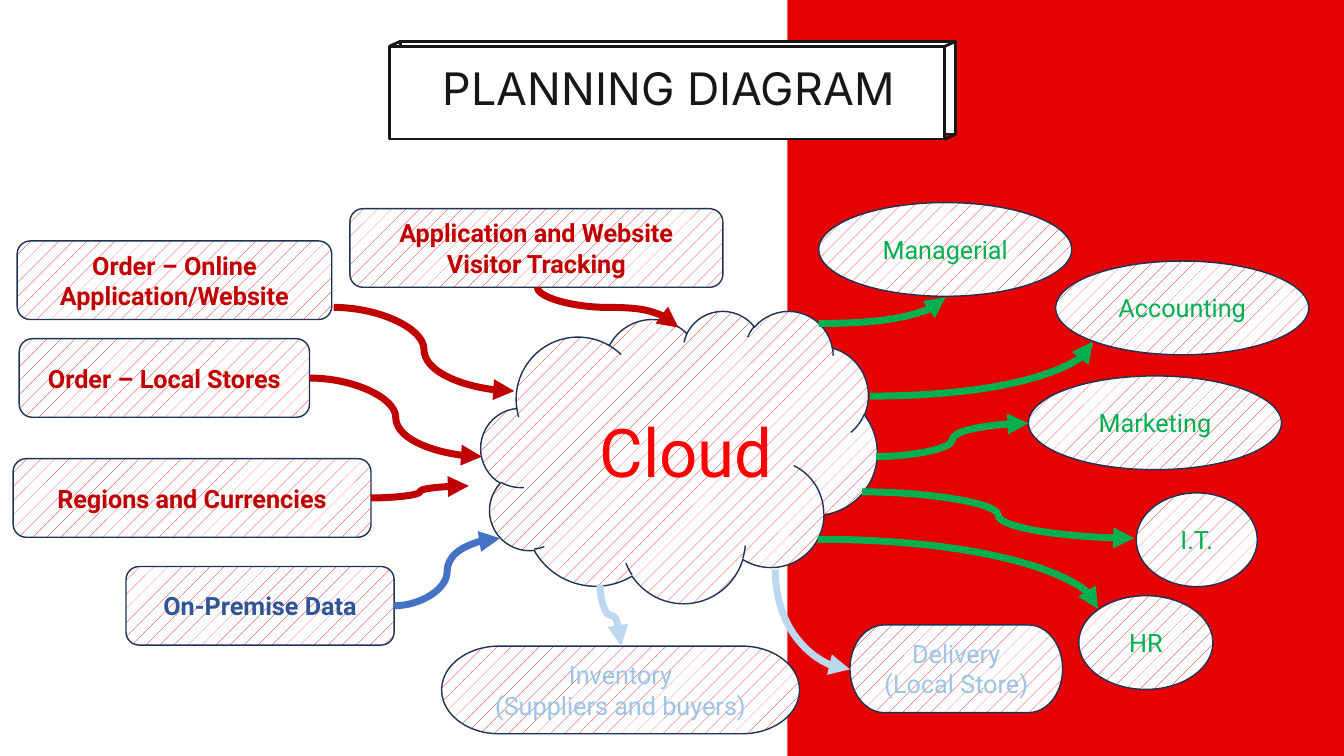
"""Builds the planning diagram slide: data sources flowing through a cloud to departments."""
from dataclasses import dataclass

from lxml import etree
from pptx import Presentation
from pptx.dml.color import RGBColor
from pptx.enum.dml import MSO_PATTERN
from pptx.enum.shapes import MSO_CONNECTOR, MSO_SHAPE
from pptx.enum.text import MSO_ANCHOR, MSO_AUTO_SIZE, PP_ALIGN
from pptx.oxml.ns import qn
from pptx.util import Inches, Pt

RECTANGLE = MSO_SHAPE.RECTANGLE
TRIANGLE = MSO_SHAPE.ISOSCELES_TRIANGLE
CLOUD = MSO_SHAPE.CLOUD
SOURCE = MSO_SHAPE.FLOWCHART_ALTERNATE_PROCESS
DEPARTMENT = MSO_SHAPE.OVAL
PARTNER = MSO_SHAPE.FLOWCHART_TERMINATOR
STRAIGHT = MSO_CONNECTOR.STRAIGHT
CURVE = MSO_CONNECTOR.CURVE
DOTS = MSO_PATTERN.PERCENT_5
CENTER = PP_ALIGN.CENTER
TOP, MIDDLE = MSO_ANCHOR.TOP, MSO_ANCHOR.MIDDLE
FIXED = MSO_AUTO_SIZE.NONE

COLUMNS, ROWS = 13.33, 7.5
CELL = Inches(1)
HEIGHTS = {SOURCE: 0.78, DEPARTMENT: 0.93, PARTNER: 0.87, CLOUD: 2.9}
COLORS = {
    "white": "FFFFFF", "panel": "E50102", "ink": "181717", "outline": "1E3256",
    "cloud": "FF0000", "source": "C00000", "premise": "2F5597", "premise flow": "4472C4",
    "department": "00B050", "partner": "9DC3E6", "partner flow": "BDD7EE",
}


@dataclass(frozen=True)
class Node:
    kind: MSO_SHAPE
    column: float
    row: float
    columns: float
    label: str = ""
    color: str = "source"


@dataclass(frozen=True)
class Flow:
    start: tuple[float, float]
    end: tuple[float, float]
    color: str
    bend: bool = False
    downward: bool = False


NODES = [
    Node(CLOUD, 4.77, 3.08, 3.93),
    Node(SOURCE, 3.47, 2.07, 3.7, "Application and Website\nVisitor Tracking"),
    Node(SOURCE, 0.17, 2.39, 3.12, "Order – Online\nApplication/Website"),
    Node(SOURCE, 0.19, 3.36, 2.88, "Order – Local Stores"),
    Node(SOURCE, 0.13, 4.55, 3.55, "Regions and Currencies"),
    Node(SOURCE, 1.25, 5.62, 2.66, "On-Premise Data", "premise"),
    Node(DEPARTMENT, 10.2, 3.73, 2.51, "Marketing", "department"),
    Node(DEPARTMENT, 10.47, 2.59, 2.51, "Accounting", "department"),
    Node(DEPARTMENT, 10.7, 5.91, 1.33, "HR", "department"),
    Node(DEPARTMENT, 11.27, 4.89, 1.2, "I.T.", "department"),
    Node(DEPARTMENT, 8.12, 2.01, 2.51, "Managerial", "department"),
    Node(PARTNER, 8.43, 6.2, 2.11, "Delivery\n(Local Store)", "partner"),
    Node(PARTNER, 4.38, 6.41, 3.55, "Inventory\n(Suppliers and buyers)", "partner"),
]
FLOWS = [
    Flow((3.31, 3.05), (5.1, 3.88), "source"),
    Flow((3.07, 3.75), (4.78, 4.53), "source"),
    Flow((5.33, 2.85), (6.73, 3.25), "source", downward=True),
    Flow((3.68, 4.94), (4.65, 4.82), "source"),
    Flow((3.91, 6.01), (4.96, 5.34), "premise flow"),
    Flow((8.12, 3.21), (9.38, 2.95), "department", bend=True),
    Flow((8.63, 3.93), (10.84, 3.39), "department", bend=True),
    Flow((8.69, 4.53), (10.2, 4.2), "department"),
    Flow((8.55, 4.88), (11.25, 5.34), "department"),
    Flow((8.11, 5.35), (10.89, 6.04), "department", bend=True),
    Flow((7.69, 5.65), (8.43, 6.64), "partner flow", bend=True, downward=True),
    Flow((5.95, 5.8), (6.16, 6.41), "partner flow", downward=True),
]


def grid(*cells: float) -> list[int]:
    return [round(cell * CELL) for cell in cells]


def rgb(name: str) -> RGBColor:
    return RGBColor.from_string(COLORS[name])


def write(holder, text: str, font: str, size: int, color: str, bold: bool = False, anchor=TOP) -> None:
    frame = holder.text_frame
    frame.text = text
    frame.word_wrap = True
    frame.auto_size = FIXED
    frame.vertical_anchor = anchor
    for paragraph in frame.paragraphs:
        paragraph.alignment = CENTER
        for run in paragraph.runs:
            run.font.name = font
            run.font.size = Pt(size)
            run.font.bold = bold
            run.font.color.rgb = rgb(color)


def add_block(shapes, kind: MSO_SHAPE, cells: tuple, fill: str, line: str = ""):
    block = shapes.add_shape(kind, *grid(*cells))
    block.shadow.inherit = False
    block.fill.solid()
    block.fill.fore_color.rgb = rgb(fill)
    if line:
        block.line.color.rgb = rgb(line)
        block.line.width = Pt(2)
    else:
        block.line.fill.background()
    return block


def add_line(shapes, kind: MSO_CONNECTOR, start: tuple, end: tuple, color: str, width: float):
    line = shapes.add_connector(kind, *grid(*start, *end))
    line.line.color.rgb = rgb(color)
    line.line.width = Pt(width)
    etree.SubElement(line.element.spPr, qn("a:effectLst"))
    return line


def add_banner(shapes) -> None:
    banner = shapes.add_group_shape().shapes
    left, top, width, height, dx, dy = 3.86, 0.46, 5.51, 0.92, 0.11, -0.05
    corner = add_block(banner, TRIANGLE, (left, top + dy, dx, -dy), "white")
    corner.adjustments[0] = 1
    for x, y in ((left + dx, top + dy), (left, top)):
        add_block(banner, RECTANGLE, (x, y, width, height), "white", "ink")
    for x, y in ((left, top), (left + width, top), (left + width, top + height)):
        add_line(banner, STRAIGHT, (x + dx, y + dy), (x, y), "ink", 2)


def add_node(shapes, node: Node) -> None:
    cells = (node.column, node.row, node.columns, HEIGHTS[node.kind])
    block = add_block(shapes, node.kind, cells, "white")
    block.fill.patterned()
    block.fill.pattern = DOTS
    block.fill.fore_color.rgb = rgb("panel")
    block.fill.back_color.rgb = rgb("white")
    block.line.color.rgb = rgb("outline")
    block.line.width = Pt(1)
    if node.label:
        write(block, node.label, "Roboto", 18, node.color, node.kind == SOURCE, MIDDLE)


def add_flow(shapes, flow: Flow) -> None:
    start, end = flow.start, flow.end
    if flow.downward:
        x, y = (start[0] + end[0]) / 2, (start[1] + end[1]) / 2
        half_x, half_y = (end[0] - start[0]) / 2, (end[1] - start[1]) / 2
        start, end = (x + half_y, y - half_x), (x - half_y, y + half_x)
    arrow = add_line(shapes, CURVE, start, end, flow.color, 5)
    properties = arrow.element.spPr
    if flow.downward:
        properties.find(qn("a:xfrm")).set("rot", str(270 * 60000))
    if flow.bend:
        properties.find(qn("a:prstGeom")).set("prst", "curvedConnector2")
    etree.SubElement(properties.find(qn("a:ln")), qn("a:tailEnd"), type="triangle")


def main() -> None:
    deck = Presentation()
    deck.slide_width, deck.slide_height = grid(COLUMNS, ROWS)
    slide = deck.slides.add_slide(deck.slide_layouts[5])
    shapes = slide.shapes
    add_block(shapes, RECTANGLE, (7.81, 0, COLUMNS - 7.81, ROWS), "panel")
    add_banner(shapes)

    heading = shapes.title
    heading.left, heading.top, heading.width, heading.height = grid(2.49, 0.55, 8.29, 0.64)
    write(heading, "PLANNING DIAGRAM", "Inter", 32, "ink")
    shapes.element.append(heading.element)

    for node in NODES:
        add_node(shapes, node)
    for flow in FLOWS:
        add_flow(shapes, flow)
    cloud_name = shapes.add_textbox(*grid(5.06, 4.02, 3.49, 0.91))
    write(cloud_name, "Cloud", "Roboto", 48, "cloud")
    deck.save("out.pptx")


if __name__ == "__main__":
    main()
